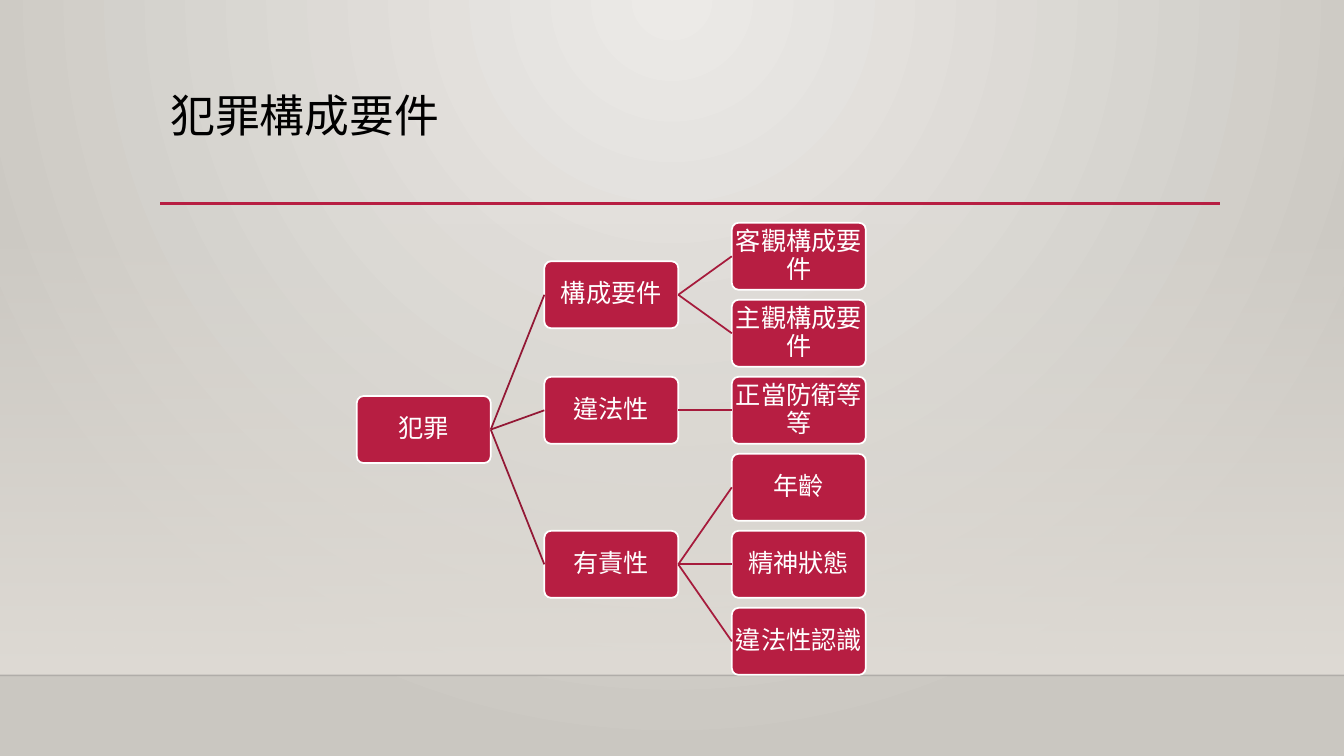
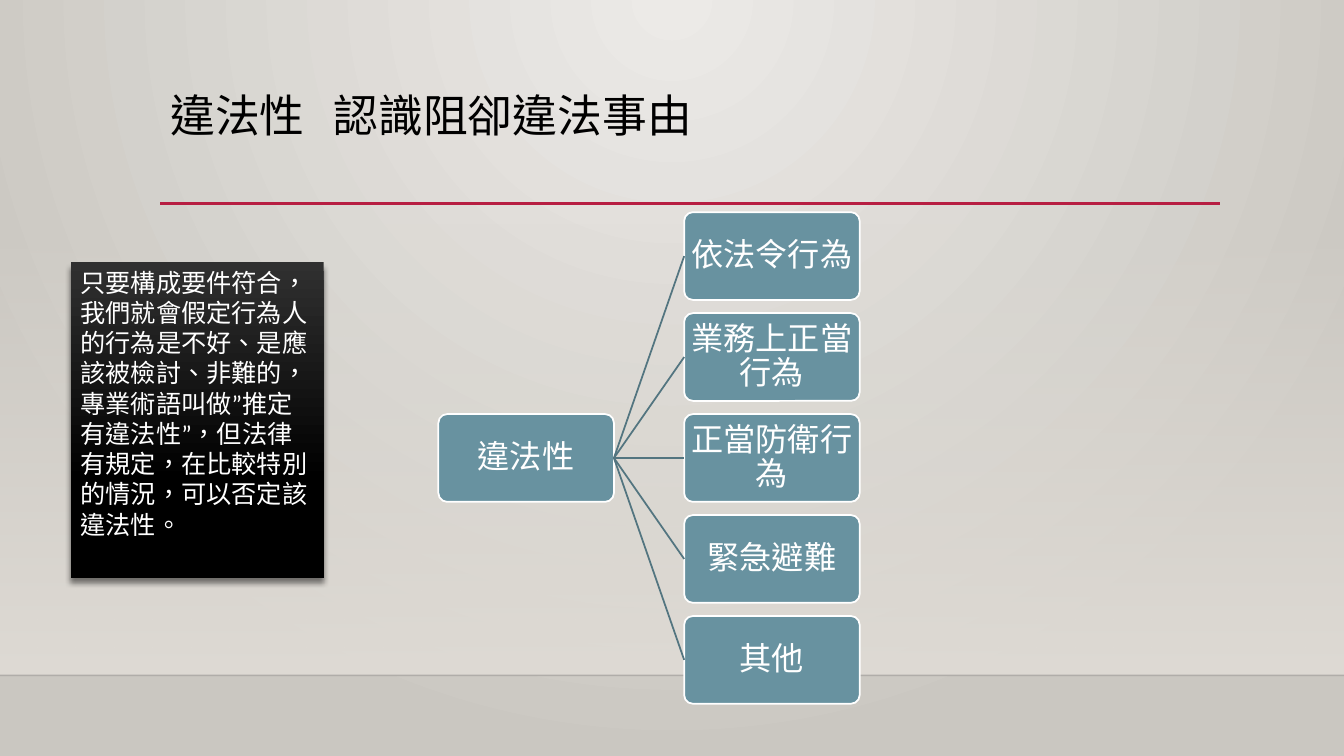
from dataclasses import dataclass
from itertools import count

from pptx import Presentation
from pptx.dml.color import RGBColor
from pptx.enum.shapes import MSO_CONNECTOR as Connector, MSO_SHAPE as Preset
from pptx.enum.text import MSO_ANCHOR as Anchor, MSO_AUTO_SIZE as AutoSize, PP_ALIGN as Align
from pptx.oxml import parse_xml
from pptx.oxml.ns import nsdecls, qn
from pptx.util import Inches, Pt

SLIDE_WIDTH, SLIDE_HEIGHT = Inches(13.333), Inches(7.5)


@dataclass(frozen=True)
class Theme:
    font: str = "Calibri"
    language: str = "zh-TW"
    ink: str = "000000"
    white: str = "FFFFFF"
    red: str = "B71E42"
    red_links: tuple = ("931835", "A61B3C")
    teal: str = "6892A0"
    teal_links: tuple = ("537580",)
    backdrop: tuple = ((0, "ECEAE7", 100), (100, "CAC7C1", 100))
    wall: tuple = ((0, "DFDBD5", 0), (100, "DFDBD5", 100))
    callout: tuple = ((0, "303030", 100), (69, "000000", 100), (100, "000000", 100))
    floor_line: str = "000001"
    title_size: int = 32
    body_size: int = 18
    large_size: int = 23
    outline: float = 1.25


THEME = Theme()


@dataclass(frozen=True)
class Box:
    """A region given in percent of the slide's width and height."""
    left: float
    top: float
    width: float
    height: float

    def emu(self):
        across, down = SLIDE_WIDTH / 100, SLIDE_HEIGHT / 100
        return (round(self.left * across), round(self.top * down),
                round(self.width * across), round(self.height * down))


WALL = Box(0, 29.47, 100, 59.86)
FLOOR_EDGE = Box(0, 89.33, 100, 0)
TITLE = Box(11.93, 11.73, 78.75, 15.33)
TITLE_RULE = Box(11.93, 26.93, 78.82, 0)
TITLE_TAB = Inches(1.62)
CRIME_TREE = Box(26.55, 29.47, 37.87, 59.8)
UNLAWFUL_TREE = Box(32.62, 28.07, 31.35, 65.03)
CALLOUT = Box(5.25, 34.67, 18.83, 41.73)

COLUMN_PITCH = 1.4   # in node widths
ROW_PITCH = 1.15     # in node heights

CRIME = ("犯罪", [
    ("構成要件", [("客觀構成要件", []), ("主觀構成要件", [])]),
    ("違法性", [("正當防衛等等", [])]),
    ("有責性", [("年齡", []), ("精神狀態", []), ("違法性認識", [])]),
])
UNLAWFUL = ("違法性", [(label, []) for label in (
    "依法令行為", "業務上正當行為", "正當防衛行為", "緊急避難", "其他")])
CALLOUT_TEXT = ("只要構成要件符合，我們就會假定行為人的行為是不好、是應該被檢討、非難的，"
                "專業術語叫做”推定有違法性”，但法律有規定，在比較特別的情況，可以否定該違法性。")


# Formatting helpers
def apply(target, **values):
    for name, value in values.items():
        setattr(target, name, value)


def set_gradient(fill, properties, stops, direction):
    """Replace the fill held by a properties element with a gradient."""
    fill.background()
    marks = "".join(
        f'<a:gs pos="{position * 1000}"><a:srgbClr val="{color}">'
        f'<a:alpha val="{alpha * 1000}"/></a:srgbClr></a:gs>'
        for position, color, alpha in stops)
    gradient = parse_xml(f'<a:gradFill {nsdecls("a")} rotWithShape="1">'
                         f'<a:gsLst>{marks}</a:gsLst>{direction}</a:gradFill>')
    properties.replace(properties.find(qn("a:noFill")), gradient)


DOWNWARD = '<a:lin ang="5400000" scaled="0"/>'
FROM_TOP_CENTRE = ('<a:path path="circle"><a:fillToRect l="43000" t="0" '
                   'r="43000" b="100000"/></a:path>')


def write(shape, text, size, color, spacing=None, align=Align.LEFT, inset=None, **frame_format):
    frame = shape.text_frame
    apply(frame, word_wrap=True, **frame_format)
    if inset is not None:
        apply(frame, **{f"margin_{side}": inset for side in ("left", "right", "top", "bottom")})
    paragraph = frame.paragraphs[0]
    apply(paragraph, alignment=align, line_spacing=spacing)
    run = paragraph.add_run()
    run.text = text
    apply(run.font, name=THEME.font, size=Pt(size))
    run.font.color.rgb = RGBColor.from_string(color)
    properties = run._r.get_or_add_rPr()
    properties.set("lang", THEME.language)
    properties.append(parse_xml(f'<a:ea {nsdecls("a")} typeface="{THEME.font}"/>'))
    return paragraph


def add_line(slide, box, color, width, opacity=100):
    left, top, across, down = box.emu()
    line = slide.shapes.add_connector(Connector.STRAIGHT, left, top, left + across, top + down)
    line.line.width = Pt(width)
    line.line.color.rgb = RGBColor.from_string(color)
    properties = line._element.spPr
    if opacity < 100:
        properties.find(".//" + qn("a:srgbClr")).append(
            parse_xml(f'<a:alpha {nsdecls("a")} val="{opacity * 1000}"/>'))
    properties.append(parse_xml(f'<a:effectLst {nsdecls("a")}/>'))
    return line


def add_gradient_box(slide, box, stops):
    shape = slide.shapes.add_shape(Preset.RECTANGLE, *box.emu())
    shape.shadow.inherit = False
    set_gradient(shape.fill, shape._element.spPr, stops, DOWNWARD)
    shape.line.fill.background()
    return shape


# Shared frame: backdrop, wall, floor edge, rule and title
def set_backdrop(master):
    fill = master.background.fill
    set_gradient(fill, master.element.find(".//" + qn("p:bgPr")), THEME.backdrop, FROM_TOP_CENTRE)


def add_titled_slide(presentation, title):
    slide = presentation.slides.add_slide(presentation.slide_layouts[6])
    add_gradient_box(slide, WALL, THEME.wall)
    add_line(slide, FLOOR_EDGE, THEME.floor_line, 1, opacity=20)
    add_line(slide, TITLE_RULE, THEME.red, 2.5)
    heading = slide.shapes.add_textbox(*TITLE.emu())
    paragraph = write(heading, title, THEME.title_size, THEME.ink, spacing=0.9)
    if "\t" in title:
        paragraph._p.get_or_add_pPr().append(parse_xml(
            f'<a:tabLst {nsdecls("a")}><a:tab pos="{TITLE_TAB}" algn="l"/></a:tabLst>'))
    return slide


# Tree running left to right: leaves fill the rows, parents centre on children
def tree_depth(node):
    return 1 + max(map(tree_depth, node[1]), default=0)


def leaf_count(node):
    return sum(map(leaf_count, node[1])) or 1


def add_tree(slide, box, root, color, link_colors, size, inset):
    left, top, width, height = box.emu()
    node_width = width / (1 + COLUMN_PITCH * (tree_depth(root) - 1))
    node_height = height / (1 + ROW_PITCH * (leaf_count(root) - 1))
    rows = count()

    def add_node(node, column):
        label, children = node
        placed = [add_node(child, column + 1) for child in children]
        row = (placed[0][1] + placed[-1][1]) / 2 if placed else next(rows)
        shape = slide.shapes.add_shape(
            Preset.ROUNDED_RECTANGLE,
            round(left + column * COLUMN_PITCH * node_width),
            round(top + row * ROW_PITCH * node_height),
            round(node_width), round(node_height))
        shape.adjustments[0] = 0.1
        shape.shadow.inherit = False
        shape.fill.solid()
        shape.fill.fore_color.rgb = RGBColor.from_string(color)
        shape.line.color.rgb = RGBColor.from_string(THEME.white)
        shape.line.width = Pt(THEME.outline)
        write(shape, label, size, THEME.white, spacing=0.9, align=Align.CENTER,
              inset=Inches(inset), vertical_anchor=Anchor.MIDDLE)
        for child_shape, _ in placed:
            link = add_line(slide, box, link_colors[column], THEME.outline)
            link.begin_connect(shape, 3)
            link.end_connect(child_shape, 1)
        return shape, row

    add_node(root, 0)


# Dark note with a soft shadow below it
def add_callout(slide, box, text):
    shape = add_gradient_box(slide, box, THEME.callout)
    shape._element.spPr.find(qn("a:effectLst")).append(parse_xml(
        f'<a:outerShdw {nsdecls("a")} blurRad="{Pt(4)}" dist="{Pt(4)}" dir="5400000" '
        'rotWithShape="0"><a:srgbClr val="000000"><a:alpha val="48000"/></a:srgbClr>'
        '</a:outerShdw>'))
    write(shape, text, THEME.body_size, THEME.white,
          vertical_anchor=Anchor.TOP, auto_size=AutoSize.SHAPE_TO_FIT_TEXT)


def main():
    presentation = Presentation()
    apply(presentation, slide_width=SLIDE_WIDTH, slide_height=SLIDE_HEIGHT)
    set_backdrop(presentation.slide_master)

    slide = add_titled_slide(presentation, "犯罪構成要件")
    add_tree(slide, CRIME_TREE, CRIME, THEME.red, THEME.red_links, THEME.body_size, 0.01)

    slide = add_titled_slide(presentation, "違法性\t認識阻卻違法事由")
    add_tree(slide, UNLAWFUL_TREE, UNLAWFUL, THEME.teal, THEME.teal_links, THEME.large_size, 0.02)
    add_callout(slide, CALLOUT, CALLOUT_TEXT)

    presentation.save("out.pptx")


if __name__ == "__main__":
    main()
